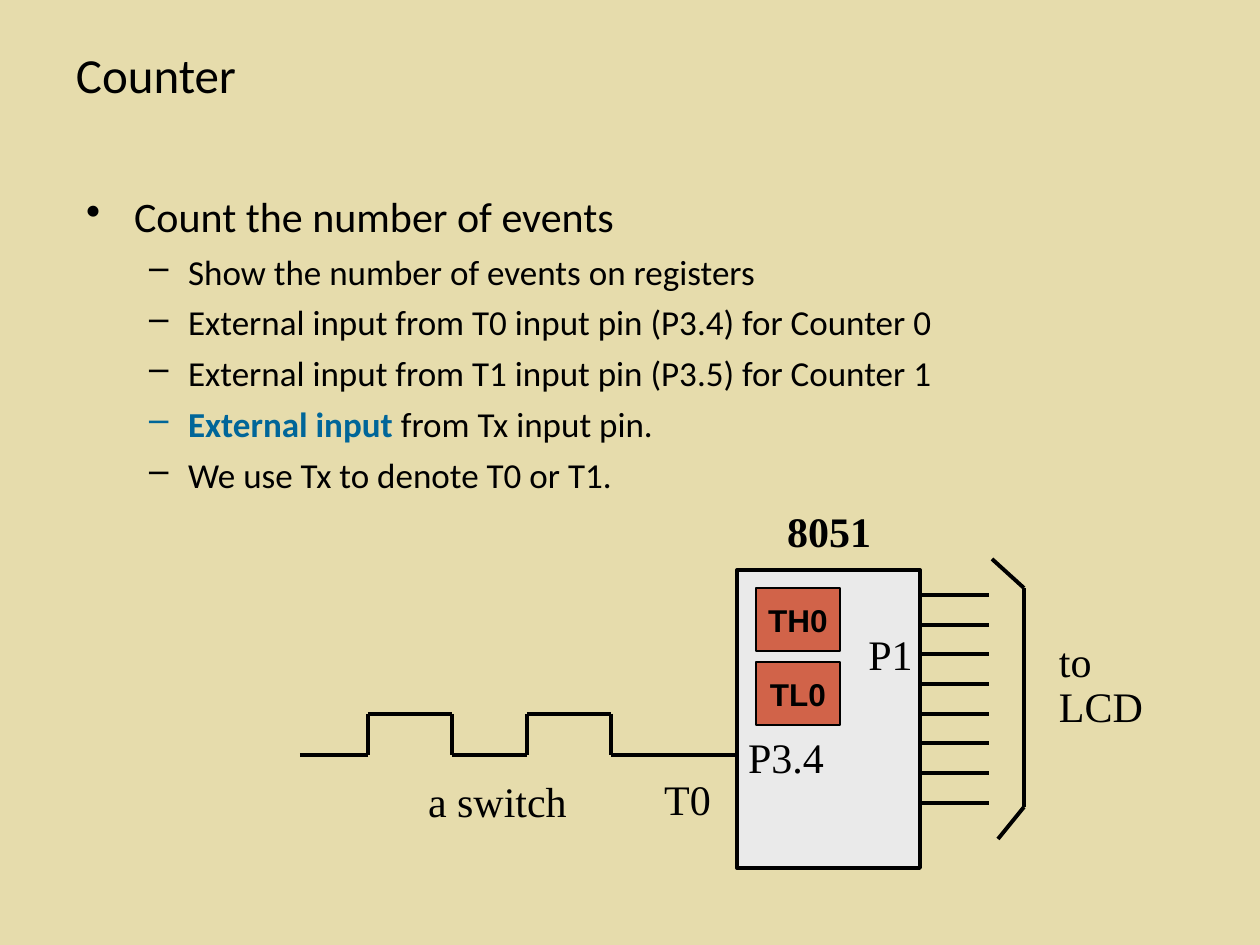
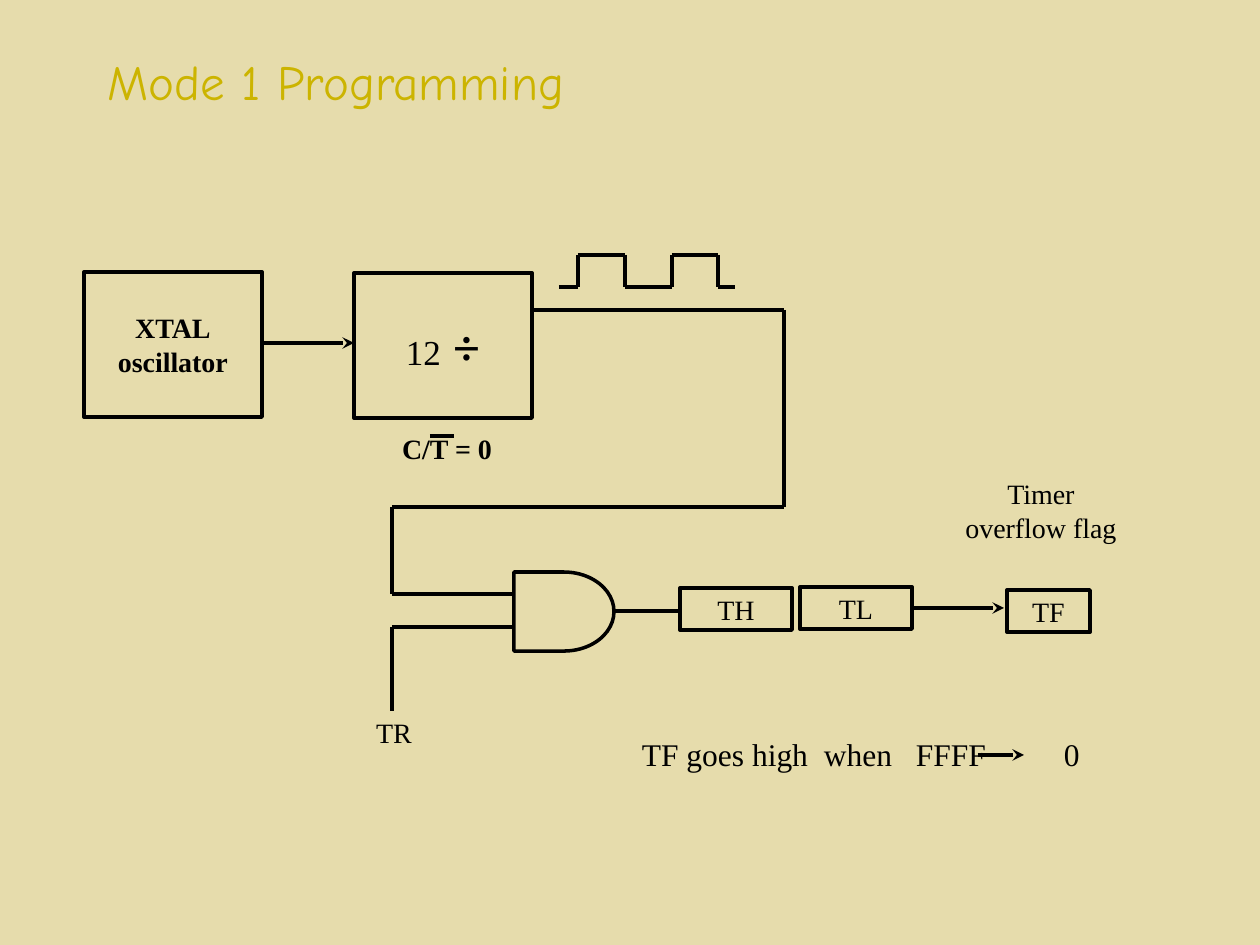
"""Build two slides on microcontroller counters and timer mode 1 programming."""
from dataclasses import dataclass
from itertools import pairwise
from typing import Any, NamedTuple

from lxml import etree
from pptx import Presentation
from pptx.dml.color import RGBColor
from pptx.enum.shapes import MSO_CONNECTOR, MSO_SHAPE
from pptx.enum.text import MSO_ANCHOR, MSO_AUTO_SIZE, PP_ALIGN
from pptx.oxml.ns import qn
from pptx.util import Emu, Pt

RECT, DELAY = MSO_SHAPE.RECTANGLE, MSO_SHAPE.FLOWCHART_DELAY
STRAIGHT = MSO_CONNECTOR.STRAIGHT
LEFT, CENTER, RIGHT = PP_ALIGN.LEFT, PP_ALIGN.CENTER, PP_ALIGN.RIGHT
TOP, MIDDLE = MSO_ANCHOR.TOP, MSO_ANCHOR.MIDDLE
NO_AUTOFIT = MSO_AUTO_SIZE.NONE

EMU_PER_PX = 914400 / 126
SLIDE_W, SLIDE_H = 1260, 945
TITLE_ONLY = 5
BLACK, SAND, SILVER, BRICK, TEAL, GOLD = (
    "000000", "E6DCAC", "EAEAEA", "D16349", "006699", "CCB400")
SANS, SERIF, BODY, COMIC = "Arial", "Times New Roman", "Calibri", "Comic Neue"
LINE_PT = 2.25
WIDE_INSET, TIGHT_INSET = (13, 6), (9, 4)

Point = tuple[int, int]


class Bullet(NamedTuple):
    """Format of one outline level."""
    char: str
    margin: int
    hang: int
    size: int
    before: int


@dataclass
class Box:
    """A text box, or a preset shape when one is given."""
    x: int
    y: int
    w: int
    h: int
    lines: tuple[str, ...] = ()
    shape: Any = None
    fill: str | None = None
    line_pt: float = LINE_PT
    size: int = 24
    font: str = SERIF
    bold: bool = False
    align: Any = CENTER
    anchor: Any = MIDDLE
    inset: Point = WIDE_INSET
    wrap: bool = True
    spacing: float = 1.0


LEVELS = (Bullet("•", 48, 48, 24, 0), Bullet("–", 102, 39, 20, 5))
OUTLINE = (
    (0, "", "Count the number of events"),
    (1, "", "Show the number of events on registers"),
    (1, "", "External input from T0 input pin (P3.4) for Counter 0"),
    (1, "", "External input from T1 input pin (P3.5) for Counter 1"),
    (1, "External input", " from Tx input pin."),
    (1, "", "We use Tx to denote T0 or T1."),
)


def px(n: float) -> Emu:
    """Turn px into EMU."""
    return Emu(round(n * EMU_PER_PX))


def rgb(value: str) -> RGBColor:
    """Turn a hex string into a colour."""
    return RGBColor.from_string(value)


def write(p: Any, text: str, size: int, font: str,
          color: str = BLACK, bold: bool = False) -> None:
    """Add a formatted run to a paragraph."""
    r = p.add_run()
    r.text = text
    for name, value in {"size": Pt(size), "name": font, "bold": bold}.items():
        setattr(r.font, name, value)
    r.font.color.rgb = rgb(color)


def set_frame(tf: Any, inset: Point, anchor: Any, wrap: bool = True) -> None:
    """Set margins, anchor and wrapping of a text frame."""
    side, edge = map(px, inset)
    values = {"margin_left": side, "margin_right": side, "margin_top": edge,
              "margin_bottom": edge, "vertical_anchor": anchor,
              "auto_size": NO_AUTOFIT, "word_wrap": wrap}
    for name, value in values.items():
        setattr(tf, name, value)


def add_slide(prs: Any, title: str, at: tuple[int, int, int, int],
              font: str, color: str) -> Any:
    """Add a sand-coloured slide with its title."""
    s = prs.slides.add_slide(prs.slide_layouts[TITLE_ONLY])
    s.background.fill.solid()
    s.background.fill.fore_color.rgb = rgb(SAND)
    sp = s.shapes.title
    for name, value in zip(("left", "top", "width", "height"), at):
        setattr(sp, name, px(value))
    set_frame(sp.text_frame, WIDE_INSET, TOP)
    p = sp.text_frame.paragraphs[0]
    p.alignment = LEFT
    write(p, title, 28, font, color)
    return s


def draw_box(s: Any, box: Box) -> Any:
    """Draw a box and return its text frame."""
    at = [px(n) for n in (box.x, box.y, box.w, box.h)]
    if box.shape is None:
        sp = s.shapes.add_textbox(*at)
    else:
        sp = s.shapes.add_shape(box.shape, *at)
        sp.shadow.inherit = False
        sp.line.color.rgb = rgb(BLACK)
        sp.line.width = Pt(box.line_pt)
        if box.fill:
            sp.fill.solid()
            sp.fill.fore_color.rgb = rgb(box.fill)
        else:
            sp.fill.background()
    tf = sp.text_frame
    set_frame(tf, box.inset, box.anchor, box.wrap)
    tf.paragraphs[0].alignment = box.align
    for i, text in enumerate(box.lines):
        p = tf.add_paragraph() if i else tf.paragraphs[0]
        p.alignment = box.align
        p.line_spacing = box.spacing
        write(p, text, box.size, box.font, bold=box.bold)
    return tf


def draw_wire(s: Any, *points: Point, arrow: bool = False) -> None:
    """Join points with straight lines, with an optional arrowhead."""
    for (x1, y1), (x2, y2) in pairwise(points):
        c = s.shapes.add_connector(STRAIGHT, px(x1), px(y1), px(x2), px(y2))
        c.line.color.rgb = rgb(BLACK)
        c.line.width = Pt(LINE_PT)
        sp_pr = c._element.spPr
        if arrow:
            etree.SubElement(sp_pr.find(qn("a:ln")), qn("a:tailEnd"), type="stealth")
        etree.SubElement(sp_pr, qn("a:effectLst"))


def draw_square_wave(s: Any, edges: tuple[int, ...], high: int, low: int) -> None:
    """Draw a pulse train that starts low and flips at each inner edge."""
    points = []
    for i, (x1, x2) in enumerate(pairwise(edges)):
        y = high if i % 2 else low
        points += [(x1, y), (x2, y)]
    draw_wire(s, *points)


def set_bullet(p: Any, bullet: Bullet, color: str) -> None:
    """Give a paragraph its bullet, indent and spacing."""
    ppr = p._p.get_or_add_pPr()
    ppr.set("marL", str(px(bullet.margin)))
    ppr.set("indent", str(px(-bullet.hang)))
    clr = etree.SubElement(ppr, qn("a:buClr"))
    etree.SubElement(clr, qn("a:srgbClr"), val=color)
    etree.SubElement(ppr, qn("a:buChar"), char=bullet.char)
    p.space_before = Pt(bullet.before)


def draw_outline(s: Any) -> None:
    """Draw the bulleted text."""
    tf = draw_box(s, Box(73, 185, 1012, 640, anchor=TOP))
    for i, (level, strong, text) in enumerate(OUTLINE):
        p = tf.add_paragraph() if i else tf.paragraphs[0]
        p.alignment = LEFT
        p.level = level
        bullet = LEVELS[level]
        set_bullet(p, bullet, TEAL if strong else BLACK)
        if strong:
            write(p, strong, bullet.size, BODY, TEAL, True)
        write(p, text, bullet.size, BODY)


def build_counter(prs: Any) -> None:
    """Build the counter slide."""
    s = add_slide(prs, "Counter", (63, 38, 703, 158), BODY, BLACK)
    draw_outline(s)
    draw_square_wave(s, (300, 368, 452, 527, 611, 737), 714, 755)
    draw_box(s, Box(737, 570, 183, 298, shape=RECT, fill=SILVER))
    for i in range(8):
        y = 595 + round(i * 29.7)
        draw_wire(s, (921, y), (989, y))
    draw_wire(s, (992, 559), (1024, 588), (1024, 807), (998, 839))
    for box in (
        Box(648, 767, 79, 63, ("T0",)),
        Box(1046, 635, 144, 103, ("to", "LCD"), align=LEFT, spacing=0.9),
        Box(735, 725, 121, 63, ("P3.4",), align=LEFT),
        Box(854, 622, 73, 63, ("P1",)),
        Box(756, 499, 146, 63, ("8051",), bold=True),
        Box(415, 770, 218, 63, ("a switch",), align=LEFT, anchor=TOP),
    ):
        draw_box(s, box)
    for i, register in enumerate(("TH0", "TL0")):
        draw_box(s, Box(756, 588 + 74 * i, 84, 63, (register,), RECT, BRICK, 0.75,
                        18, SANS, True, wrap=False))


def draw_overflow_note(s: Any) -> None:
    """Draw the overflow rule, spaced by tab stops."""
    tf = draw_box(s, Box(633, 731, 483, 49, ("TF goes high\twhen\tFFFF\t0",), size=18,
                         align=LEFT, anchor=TOP, inset=TIGHT_INSET))
    tabs = etree.SubElement(tf.paragraphs[0]._p.get_or_add_pPr(), qn("a:tabLst"))
    for stop in (182, 274, 422):
        etree.SubElement(tabs, qn("a:tab"), pos=str(px(stop)), algn="l")


def build_mode_1(prs: Any) -> None:
    """Build the mode 1 slide."""
    s = add_slide(prs, "Mode 1 Programming", (95, 45, 1071, 158), COMIC, GOLD)
    draw_box(s, Box(514, 572, 100, 79, shape=DELAY, line_pt=2))
    small = {"size": 16, "inset": TIGHT_INSET}
    for box in (
        Box(84, 272, 178, 145, ("XTAL", "oscillator"), RECT, bold=True, **small),
        Box(680, 588, 112, 42, ("TH",), RECT, **small),
        Box(800, 587, 112, 42, ("TL",), RECT, **small),
        Box(1007, 590, 83, 42, ("TF",), RECT, **small),
        Box(343, 711, 102, 59, ("TR",), anchor=TOP, **small),
        Box(953, 473, 176, 106, ("Timer", "overflow flag"), anchor=TOP, **small),
        Box(353, 427, 148, 59, ("C/T = 0",), bold=True, align=RIGHT, anchor=TOP, **small),
    ):
        draw_box(s, box)
    divider = draw_box(s, Box(354, 273, 178, 145, shape=RECT, inset=TIGHT_INSET))
    write(divider.paragraphs[0], "12", 20, SERIF)
    write(divider.paragraphs[0], " ÷", 28, SERIF, bold=True)
    draw_wire(s, (532, 310), (784, 310), (784, 507), (392, 507), (392, 594), (513, 594))
    draw_wire(s, (513, 627), (392, 627), (392, 711))
    draw_wire(s, (615, 611), (680, 611))
    draw_wire(s, (430, 436), (454, 436))
    draw_square_wave(s, (559, 578, 625, 672, 718, 735), 255, 287)
    draw_overflow_note(s)
    for x1, x2, y in ((261, 354, 343), (911, 1004, 608), (978, 1024, 755)):
        draw_wire(s, (x1, y), (x2, y), arrow=True)


def main() -> None:
    """Build and save the presentation."""
    prs = Presentation()
    prs.slide_width, prs.slide_height = px(SLIDE_W), px(SLIDE_H)
    build_counter(prs)
    build_mode_1(prs)
    prs.save("out.pptx")


if __name__ == "__main__":
    main()
